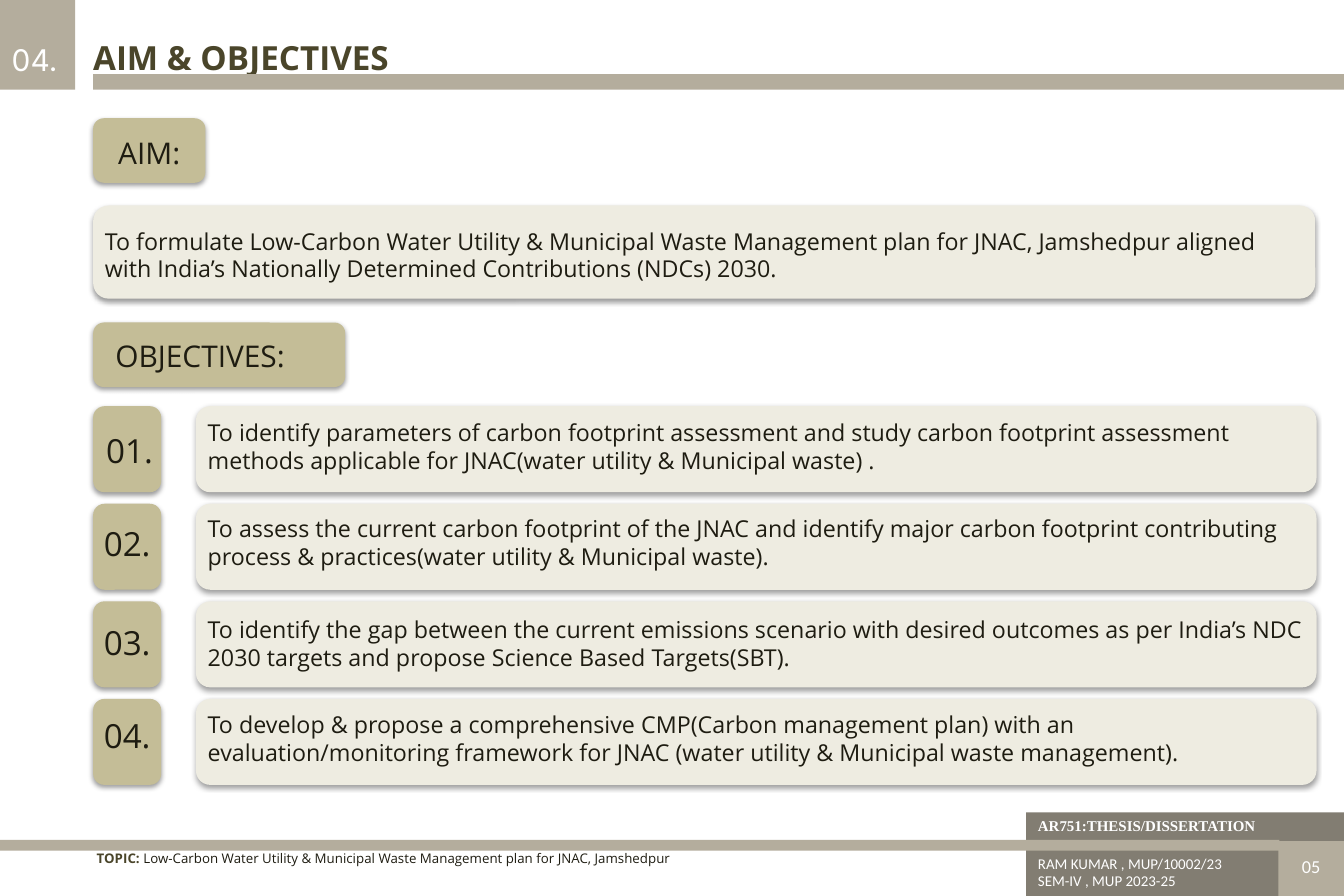
from lxml import etree
from pptx import Presentation
from pptx.dml.color import RGBColor
from pptx.enum.shapes import MSO_SHAPE as Shape
from pptx.enum.text import MSO_ANCHOR as Anchor, PP_ALIGN as Align
from pptx.oxml.ns import nsdecls
from pptx.util import Inches, Pt

THEME = {
    "stone": "B4AD9D", "slate": "827D72", "khaki": "C4BD97", "cream": "EEECE1",
    "olive": "4A452A", "ink": "1E1C11", "white": "FFFFFF",
    "title": {"name": "Open Sans", "size": Pt(20), "bold": True},
    "section": {"name": "Inter", "size": Pt(18)},
    "heading": {"name": "Open Sans", "size": Pt(18)},
    "number": {"name": "Open Sans", "size": Pt(20)},
    "body": {"name": "Open Sans", "size": Pt(14)},
    "course": {"name": "Times New Roman", "size": Pt(9), "bold": True},
    "topic_label": {"name": "Open Sans", "size": Pt(8), "bold": True},
    "topic": {"name": "Open Sans", "size": Pt(8)},
    "author": {"name": "Calibri", "size": Pt(9)},
    "page": {"name": "Calibri", "size": Pt(11)},
}
SHADOW = (
    f'<a:outerShdw {nsdecls("a")} blurRad="40000" dist="20000" dir="5400000" rotWithShape="0">'
    '<a:srgbClr val="000000"><a:alpha val="38000"/></a:srgbClr></a:outerShdw>'
)

deck = Presentation()
deck.slide_width, deck.slide_height = Inches(11.25), Inches(7.5)
slide = deck.slides.add_slide(deck.slide_layouts[6])


def add_block(box, color, raised=False):
    """Plain rectangle, or a rounded card with a soft shadow."""
    kind = Shape.ROUNDED_RECTANGLE if raised else Shape.RECTANGLE
    block = slide.shapes.add_shape(kind, *map(Inches, box))
    block.fill.solid()
    block.fill.fore_color.rgb = RGBColor.from_string(THEME[color])
    block.line.fill.background()
    block.shadow.inherit = False
    if raised:
        effects = block._element.spPr.find("{*}effectLst")
        effects.append(etree.fromstring(SHADOW))


def add_text(box, lines, align=Align.LEFT, **frame_format):
    """Text box; each line is a list of (text, style, color) runs."""
    frame = slide.shapes.add_textbox(*map(Inches, box)).text_frame
    frame.word_wrap = True
    for key, value in frame_format.items():
        setattr(frame, key, value)
    for index, runs in enumerate(lines):
        paragraph = frame.add_paragraph() if index else frame.paragraphs[0]
        paragraph.alignment = align
        for text, style, color in runs:
            run = paragraph.add_run()
            run.text = text
            for key, value in THEME[style].items():
                setattr(run.font, key, value)
            run.font.color.rgb = RGBColor.from_string(THEME[color])
    return frame


# Header
add_block((0, 0, 0.63, 0.75), "stone")
add_text((0.78, 0.31, 10.47, 0.34), [[("AIM & OBJECTIVES", "title", "olive")]],
         margin_left=0, margin_top=0, margin_right=0, margin_bottom=0)
add_block((0.78, 0.62, 10.47, 0.13), "stone")
add_text((0, 0.3, 0.7, 0.4), [[("04.", "section", "white")]])

# Aim
add_block((0.78, 0.99, 0.94, 0.54), "khaki", raised=True)
add_text((0.78, 1.08, 0.94, 0.4), [[("AIM:", "heading", "ink")]], Align.CENTER)
add_block((0.78, 1.72, 10.23, 0.78), "cream", raised=True)
aim = ("To formulate Low-Carbon Water Utility & Municipal Waste Management plan for JNAC, "
       "Jamshedpur aligned with India’s Nationally Determined Contributions (NDCs) 2030.")
add_text((0.78, 1.85, 10.23, 0.6), [[(aim, "body", "ink")]])

# Objectives: text, its top, number left and top
add_block((0.78, 2.7, 2.11, 0.54), "khaki", raised=True)
add_text((0.62, 2.78, 2.11, 0.4), [[("OBJECTIVES:", "heading", "ink")]], Align.CENTER)
objectives = [
    ("To identify parameters of carbon footprint assessment and study carbon footprint "
     "assessment methods applicable for JNAC(water utility & Municipal waste) .",
     3.45, 0.72, 3.55),
    ("To assess the current carbon footprint of the JNAC and identify major carbon footprint "
     "contributing process & practices(water utility & Municipal waste).",
     4.26, 0.7, 4.33),
    ("To identify the gap between the current emissions scenario with desired outcomes as per "
     "India’s NDC 2030 targets and propose Science Based Targets(SBT).",
     5.1, 0.7, 5.16),
    ("To develop & propose a comprehensive CMP(Carbon management plan) with an "
     "evaluation/monitoring framework for JNAC (water utility & Municipal waste management).",
     5.9, 0.7, 5.94),
]
first_top, last_top = 3.4, 5.85
pitch = (last_top - first_top) / (len(objectives) - 1)
for row, (objective, text_top, number_left, number_top) in enumerate(objectives):
    top = first_top + row * pitch
    add_block((0.78, top, 0.57, 0.72), "khaki", raised=True)
    add_block((1.64, top, 9.38, 0.72), "cream", raised=True)
    add_text((number_left, number_top, 0.73, 0.44),
             [[(f"{row + 1:02}.", "number", "ink")]], Align.CENTER)
    add_text((1.64, text_top, 9.38, 0.57), [[(objective, "body", "ink")]])

# Footer
add_block((8.59, 6.8, 2.66, 0.7), "slate")
add_block((10.7, 7.04, 0.55, 0.46), "stone")
add_block((0, 7.03, 10.71, 0.09), "stone")
course = add_text((8.59, 6.8, 2.66, 0.23), [[("AR751:THESIS/DISSERTATION", "course", "white")]])
course.paragraphs[0].line_spacing = Pt(10.1)
add_text((0.75, 6.95, 7.8, 0.47), [[
    ("TOPIC: ", "topic_label", "olive"),
    ("Low-Carbon Water Utility & Municipal Waste Management plan for JNAC, Jamshedpur",
     "topic", "ink"),
]], vertical_anchor=Anchor.MIDDLE, margin_left=Inches(0.06), margin_right=Inches(0.06),
    margin_top=Inches(0.03), margin_bottom=Inches(0.03))
add_text((8.59, 7.1, 2.1, 0.4), [
    [("RAM KUMAR , MUP/10002/23", "author", "white")],
    [("SEM-IV , MUP 2023-25", "author", "white")],
])
add_text((10.7, 7.11, 0.55, 0.29), [[("05", "page", "white")]], Align.CENTER)

deck.save("out.pptx")
